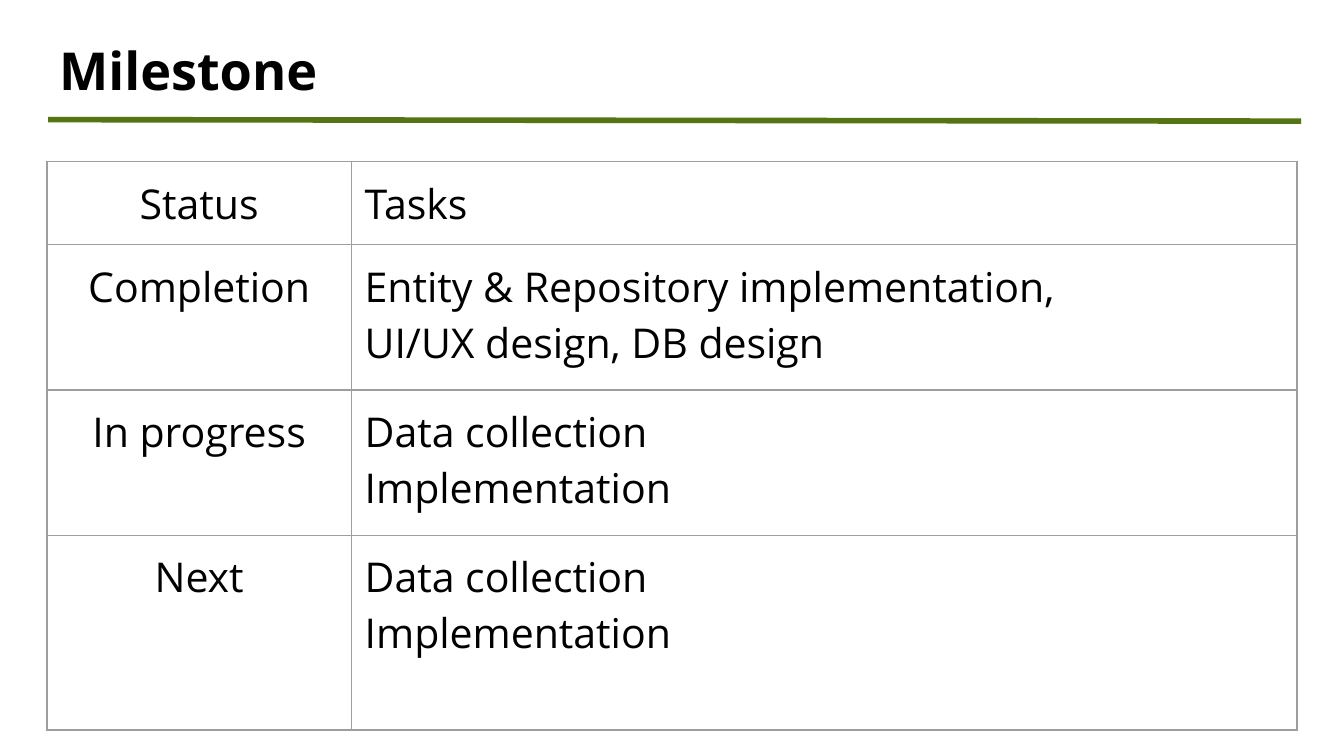
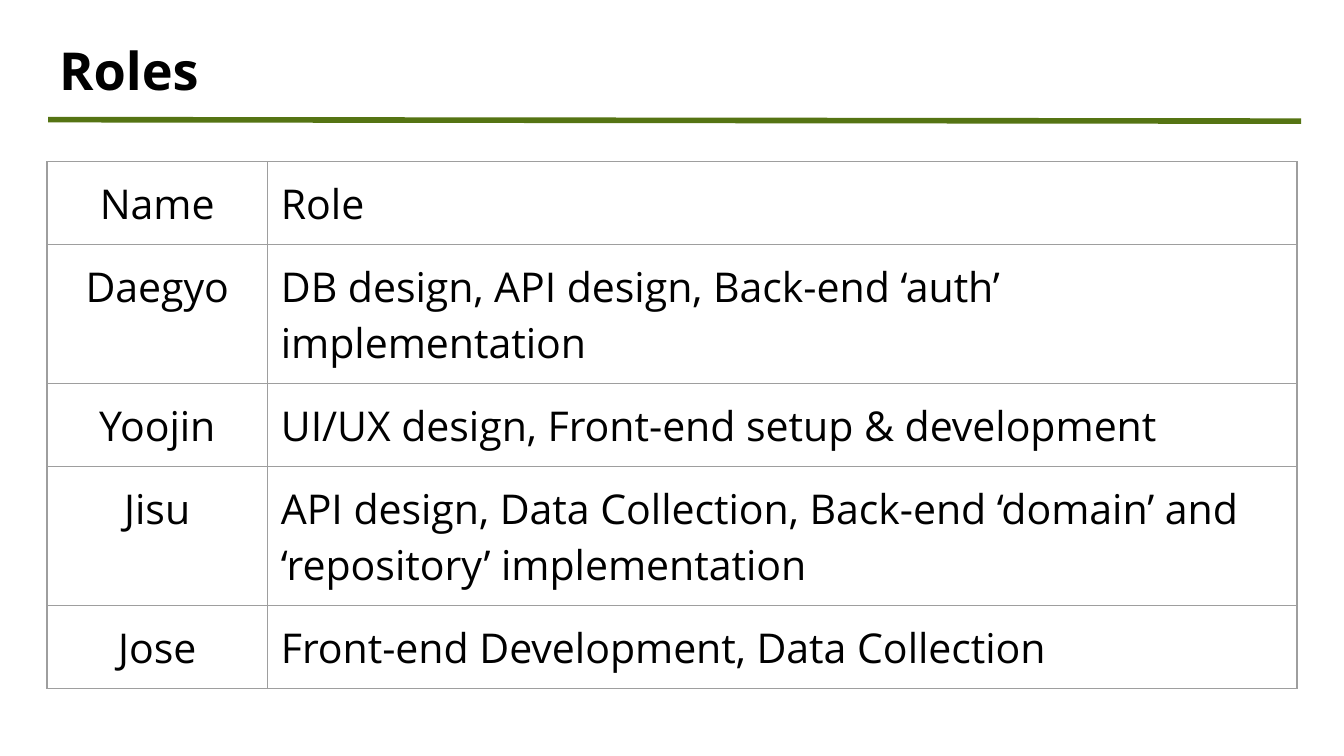
from lxml import etree
from pptx import Presentation
from pptx.dml.color import RGBColor
from pptx.enum import shapes, text
from pptx.oxml import ns
from pptx.util import Pt

ONE_LINE, TWO_LINES = 44.45, 74.45

SLIDES = [
    {
        "title": "Milestone",
        "first_column": 163,
        "row_heights": [ONE_LINE, 77.8, 77.8, 104.4],
        "rows": [
            ("Status", ["Tasks"]),
            ("Completion", ["Entity & Repository implementation,", "UI/UX design, DB design"]),
            ("In progress", ["Data collection", "Implementation"]),
            ("Next", ["Data collection", "Implementation"]),
        ],
    },
    {
        "title": "Roles",
        "first_column": 118.1,
        "row_heights": [ONE_LINE, TWO_LINES, ONE_LINE, TWO_LINES, ONE_LINE],
        "rows": [
            ("Name", ["Role"]),
            ("Daegyo", ["DB design, API design, Back-end ‘auth’ implementation"]),
            ("Yoojin", ["UI/UX design, Front-end setup & development"]),
            ("Jisu", ["API design, Data Collection, Back-end ‘domain’ and ‘repository’ implementation"]),
            ("Jose", ["Front-end Development, Data Collection"]),
        ],
    },
]

FONT = "Open Sans"
BLACK, GREEN, GREY = "000000", "557413", "9E9E9E"
TITLE_SIZE, TABLE_SIZE = 28, 22
INSET = 7.2
TABLE_LEFT, TABLE_TOP, TABLE_WIDTH = 25.2, 86.7, 669.6
BORDER_WIDTH = 0.75


def color(hex_string):
    return RGBColor.from_string(hex_string)


def add_text(paragraph, words, size, bold=False):
    run = paragraph.add_run()
    run.text = words
    run.font.name = FONT
    run.font.size = Pt(size)
    run.font.bold = bold
    run.font.color.rgb = color(BLACK)


def set_insets(target):
    """Give a text frame or a table cell the same margin on all sides."""
    target.margin_left = target.margin_right = Pt(INSET)
    target.margin_top = target.margin_bottom = Pt(INSET)


def add_title(slide, title):
    box = slide.shapes.add_textbox(Pt(24.6), Pt(16.9), Pt(671), Pt(45.4))
    frame = box.text_frame
    frame.word_wrap = True
    frame.vertical_anchor = text.MSO_ANCHOR.MIDDLE
    set_insets(frame)
    paragraph = frame.paragraphs[0]
    paragraph.line_spacing = 0.9
    add_text(paragraph, title, TITLE_SIZE, bold=True)

    rule = slide.shapes.add_connector(
        shapes.MSO_CONNECTOR.STRAIGHT, Pt(25.8), Pt(64.1), Pt(697), Pt(64.9))
    rule.line.color.rgb = color(GREEN)
    rule.line.width = Pt(3)
    etree.SubElement(rule._element.spPr, ns.qn("a:effectLst"))


def add_borders(cell):
    properties = cell._tc.get_or_add_tcPr()
    for side in ("lnL", "lnR", "lnT", "lnB"):
        line = etree.SubElement(properties, ns.qn(f"a:{side}"), w=str(Pt(BORDER_WIDTH)))
        fill = etree.SubElement(line, ns.qn("a:solidFill"))
        etree.SubElement(fill, ns.qn("a:srgbClr"), val=GREY)


def fill_cell(cell, lines, alignment):
    set_insets(cell)
    add_borders(cell)
    cell.fill.background()
    frame = cell.text_frame
    for index, words in enumerate(lines):
        paragraph = frame.add_paragraph() if index else frame.paragraphs[0]
        paragraph.alignment = alignment
        add_text(paragraph, words, TABLE_SIZE)


def add_table(slide, rows, row_heights, first_column):
    table = slide.shapes.add_table(
        len(rows), 2, Pt(TABLE_LEFT), Pt(TABLE_TOP),
        Pt(TABLE_WIDTH), Pt(sum(row_heights))).table
    table.first_row = table.horz_banding = False
    table.columns[0].width = Pt(first_column)
    table.columns[1].width = Pt(TABLE_WIDTH - first_column)
    for index, (label, details) in enumerate(rows):
        table.rows[index].height = Pt(row_heights[index])
        fill_cell(table.cell(index, 0), [label], text.PP_ALIGN.CENTER)
        fill_cell(table.cell(index, 1), details, text.PP_ALIGN.LEFT)


def main():
    presentation = Presentation()
    presentation.slide_width, presentation.slide_height = Pt(720), Pt(405)
    for content in SLIDES:
        slide = presentation.slides.add_slide(presentation.slide_layouts[6])
        add_title(slide, content["title"])
        add_table(slide, content["rows"], content["row_heights"], content["first_column"])
    presentation.save("out.pptx")


if __name__ == "__main__":
    main()
